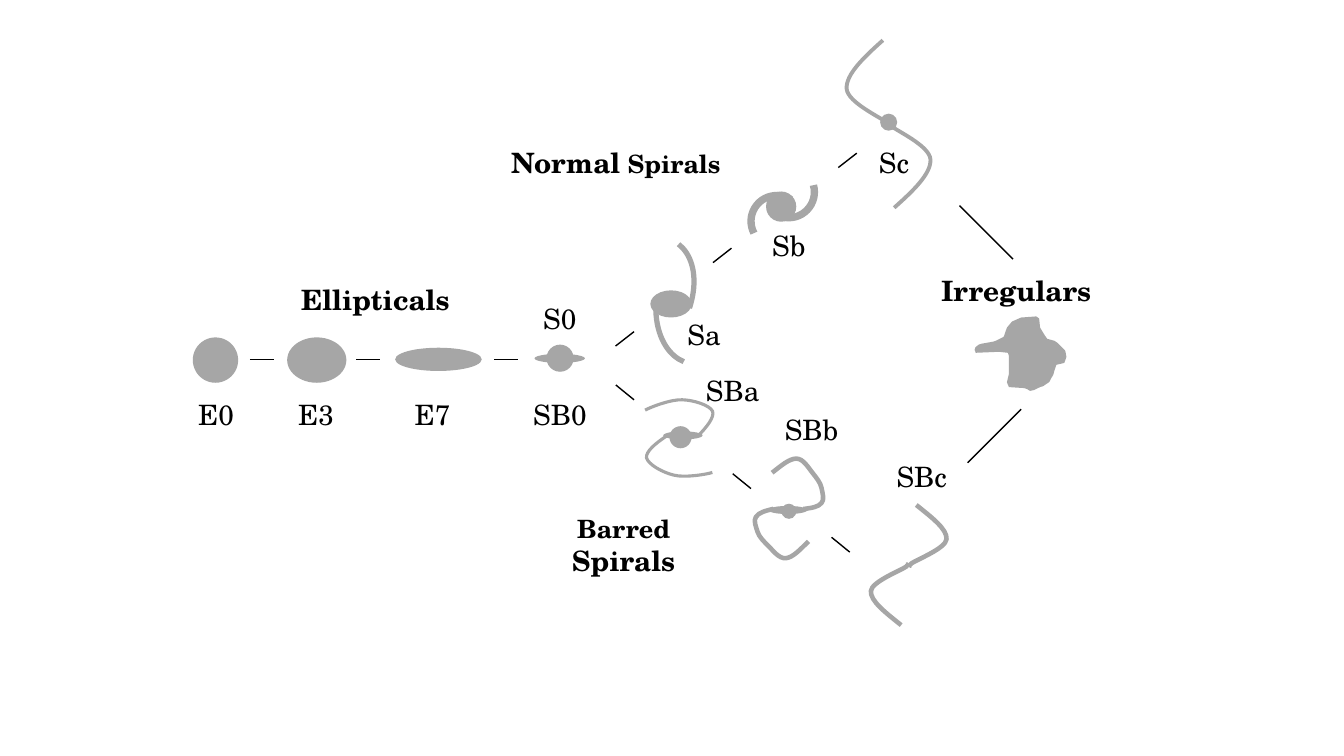
from math import cos, radians, sin

from pptx import Presentation
from pptx.dml.color import RGBColor as Rgb
from pptx.enum.shapes import MSO_CONNECTOR as Link, MSO_SHAPE as Kind
from pptx.enum.text import MSO_AUTO_SIZE as Fit, PP_ALIGN as Align
from pptx.oxml.ns import qn
from pptx.util import Pt


class Theme:
    """Colours, font and type sizes."""
    grey, black = Rgb(0xA6, 0xA6, 0xA6), Rgb(0, 0, 0)
    font, big, small = "TeX Gyre Schola", 20, 18


# Galaxy bodies: centre x, centre y, width, height
BODIES = [
    (153.9, 257.2, 32.4, 32.4),  # E0
    (226.3, 257.2, 42.3, 32.4),  # E3
    (313.2, 256.7, 61.9, 16.6),  # E7
    (399.8, 256, 36, 6.5), (400.1, 255.9, 19.4, 19.4),  # S0
    (634.8, 87.3, 12.2, 12.2),  # Sc
    (487.8, 311, 28.1, 5.8), (486.1, 312.3, 15.8, 15.8),  # SBa
    (562.7, 364.3, 28.1, 5.8), (563.5, 365.2, 10.8, 10.8),  # SBb
]

# Spirals with arc arms: core, arm size, weight, adjustments,
# then centre x, centre y and turn of each arm
ARCS = [
    ((479.3, 217.1, 29.5, 19.4), (71.3, 105.1), 3.75, (163.57, 198.93),
     [(454.5, 217.4, 32.5), (505.8, 208.8, 196.7)]),  # Sa
    ((558, 147.6, 21.6, 21.6), (36.7, 36.7), 5.25, (162, 36.8),
     [(554.8, 158, 242.3), (563.4, 137.2, 74.5)]),  # Sb
]

# Curved arms: grouped or not, weight, pivot, pivot of twin, turn of twin,
# then a start point and three points for each curve
ARMS = [
    (False, 2.75, (634.7, 88.6), (634.7, 88.6), 180,  # Sc
     [(630.7, 28.8), (617, 41), (604.1, 53.3), (604.8, 63.4),
      (605.5, 73.4), (630, 84.2), (635, 88.6),
      (638, 91.4), (635, 90.7), (635, 90.7)]),
    (False, 2.25, (484.9, 298.8), (486.4, 326.9), 191.6,  # SBa
     [(498.2, 311.8), (504.7, 305.3), (510.5, 298.1), (509, 293.8),
      (506.9, 289.4), (495.4, 285.8), (487.4, 285.6),
      (479.5, 285.1), (464.4, 290.9), (460.8, 293)]),
    (False, 3.25, (569.5, 345.6), (558.7, 380.9), 173.5,  # SBb
     [(573.8, 363.6), (579.6, 362.9), (584.6, 362.2), (586.8, 359.3),
      (589, 357.1), (587.5, 352.1), (586.8, 348.5),
      (586.1, 344.9), (583.2, 341.3), (580.3, 337.7),
      (577.4, 334.1), (573.8, 327.6), (568.8, 327.6),
      (563.8, 327.6), (558, 332.6), (551.5, 337.7)]),
    (True, 3.25, (649.1, 403.6), (649.1, 403.6), 180,  # SBc
     [(654.5, 360.7), (665.3, 369.4), (676.8, 378), (676.1, 385.2),
      (675.4, 391.7), (655.2, 399.6), (650.9, 402.5),
      (648.6, 404.6), (650.9, 403.9), (650.9, 403.9)]),
]

# Outline of the irregular galaxy
BLOB = [
    (753.1, 243.4), (748, 242), (746, 239), (743, 234), (742.3, 227.5),
    (740.2, 226), (729.4, 226.8), (722.9, 229.7), (719.3, 234),
    (717.8, 238.3), (717.1, 240.5), (711.4, 243.4), (709.2, 244.1),
    (701.3, 245.5), (699.1, 246.2), (696.8, 248), (696.2, 249.8),
    (697, 252), (713.5, 251.3), (720, 252), (720.7, 254.2),
    (720.7, 267.1), (719.3, 273), (720.7, 276.5), (731.5, 277.2),
    (733.7, 277.9), (735.8, 279.2), (738.7, 278.6), (743, 276.5),
    (745.2, 275.8), (749.5, 272.9), (751, 270), (752.4, 267.8),
    (753.1, 265), (754.6, 260.6), (760.3, 259.2), (761.8, 254.9),
    (761, 250.6), (758.2, 247.7), (756.7, 246.2), (755.3, 244.8),
]

# Joining lines: step along the line, then start points
LINKS = [
    ((17, 0), [(178.5, 257), (254.3, 257), (353, 257)]),
    ((13, 10.6), [(439.9, 275), (523.4, 338.4), (594, 383.8)]),
    ((-13.2, 10.3), [(452.9, 236.9), (522.5, 177.3), (612, 109.4)]),
    ((38.2, 38.2), [(685.4, 146.9)]),
    ((-38.2, 38.2), [(729.4, 292.3)]),
]

# Class names: text, centre x, top
NAMES = [
    ("E0", 154.4, 280.1), ("E3", 225.7, 280.1), ("E7", 309, 280.1),
    ("SB0", 400, 280.1), ("S0", 399.8, 211.7), ("Sa", 502.9, 223.2),
    ("Sb", 563.4, 159.8), ("Sc", 638.6, 100.1), ("SBa", 523.4, 263.5),
    ("SBb", 579.7, 291.2), ("SBc", 658.4, 324.7),
]

# Family names: runs with size, centre x, top, width
HEADS = [
    ([("Ellipticals", Theme.big)], 268.2, 198, 134.6),
    ([("Normal", Theme.big), (" Spirals", Theme.small)], 439.9, 100.1, 168.5),
    ([("Barred ", Theme.small), ("Spirals", Theme.big)], 445.5, 363.2, 134.6),
    ([("Irregulars", Theme.big)], 725.9, 191.5, 134.6),
]


def box(x, y, w, h):
    """Turn a centre and a size into a frame."""
    return Pt(x - w / 2), Pt(y - h / 2), Pt(w), Pt(h)


def paint(shape, weight=0):
    """Give a shape a grey fill, or a grey line if it has a weight."""
    shape.shadow.inherit = False
    if weight:
        shape.fill.background()
        shape.line.color.rgb = Theme.grey
        shape.line.width = Pt(weight)
    else:
        shape.fill.solid()
        shape.fill.fore_color.rgb = Theme.grey
        shape.line.fill.background()


def oval(host, frame):
    """Draw a grey ellipse."""
    paint(host.add_shape(Kind.OVAL, *box(*frame)))


def trace(host, dots, weight=0):
    """Draw an outline: closed and filled, or open with a weight."""
    fine = [(x * 100, y * 100) for x, y in dots]
    pen = host.build_freeform(*fine[0], scale=Pt(1) / 100)
    pen.add_line_segments(fine[1:], close=not weight)
    shape = pen.convert_to_shape()
    paint(shape, weight)
    return shape


def curve(host, knots, weight):
    """Draw an open chain of cubic curves."""
    shape = trace(host, knots, weight)
    legs = list(shape._element.iter(qn("a:lnTo")))
    for i in range(0, len(legs), 3):
        cubic = legs[i].makeelement(qn("a:cubicBezTo"), {})
        legs[i].addprevious(cubic)
        for leg in legs[i:i + 3]:
            cubic.append(leg[0])
            leg.getparent().remove(leg)
    return shape


def turn(shape, old, new, angle):
    """Turn a shape about one pivot and move it to another."""
    c, s = cos(radians(angle)), sin(radians(angle))
    x = shape.left + shape.width / 2 - Pt(old[0])
    y = shape.top + shape.height / 2 - Pt(old[1])
    shape.left = int(Pt(new[0]) + x * c - y * s - shape.width / 2)
    shape.top = int(Pt(new[1]) + x * s + y * c - shape.height / 2)
    shape.rotation = angle


def write(host, runs, x, top, wide, bold):
    """Write a centred label."""
    note = host.add_textbox(Pt(x - wide / 2), Pt(top), Pt(wide), Pt(31.7))
    frame = note.text_frame
    frame.word_wrap = True
    frame.auto_size = Fit.SHAPE_TO_FIT_TEXT
    line = frame.paragraphs[0]
    line.alignment = Align.CENTER
    for text, size in runs:
        run = line.add_run()
        run.text = text
        font = run.font
        font.name, font.size, font.bold = Theme.font, Pt(size), bold
        font.color.rgb = Theme.black


def join(host, start, step):
    """Draw a thin black line."""
    x, y = start
    line = host.add_connector(Link.STRAIGHT, Pt(x), Pt(y),
                              Pt(x + step[0]), Pt(y + step[1]))
    line.line.color.rgb = Theme.black
    line.line.width = Pt(1)
    props = line._element.spPr
    props.append(props.makeelement(qn("a:effectLst"), {}))


deck = Presentation()
deck.slide_width, deck.slide_height = Pt(960), Pt(540)
page = deck.slides.add_slide(deck.slide_layouts[6]).shapes

for body in BODIES:
    oval(page, body)
for core, size, weight, ends, arms in ARCS:
    group = page.add_group_shape().shapes
    oval(group, core)
    for x, y, angle in arms:
        arc = group.add_shape(Kind.ARC, *box(x, y, *size))
        arc.adjustments[0], arc.adjustments[1] = ends
        arc.rotation = angle
        paint(arc, weight)
for joint, weight, old, new, angle, knots in ARMS:
    host = page.add_group_shape().shapes if joint else page
    curve(host, knots, weight)
    turn(curve(host, knots, weight), old, new, angle)
trace(page, BLOB)
for step, starts in LINKS:
    for start in starts:
        join(page, start, step)
for text, x, top in NAMES:
    write(page, [(text, Theme.big)], x, top, 54, False)
for runs, x, top, wide in HEADS:
    write(page, runs, x, top, wide, True)

deck.save("out.pptx")
